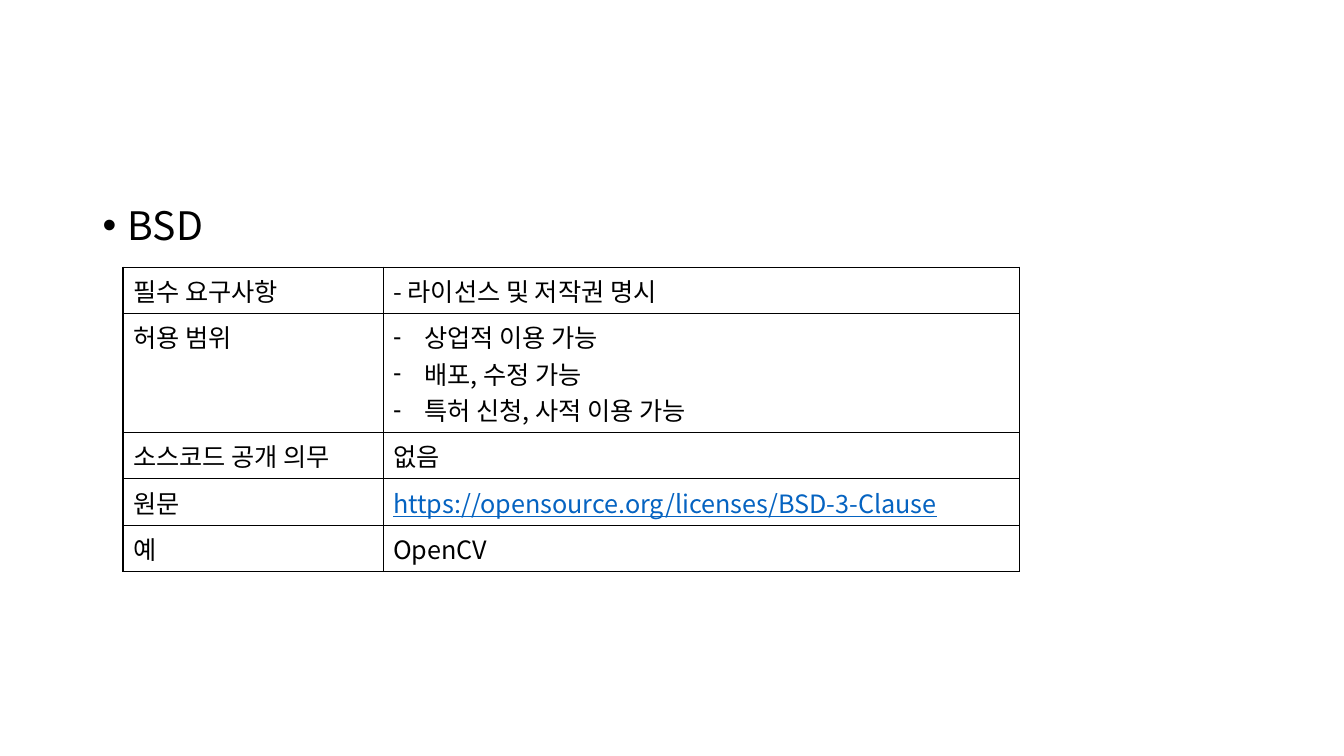
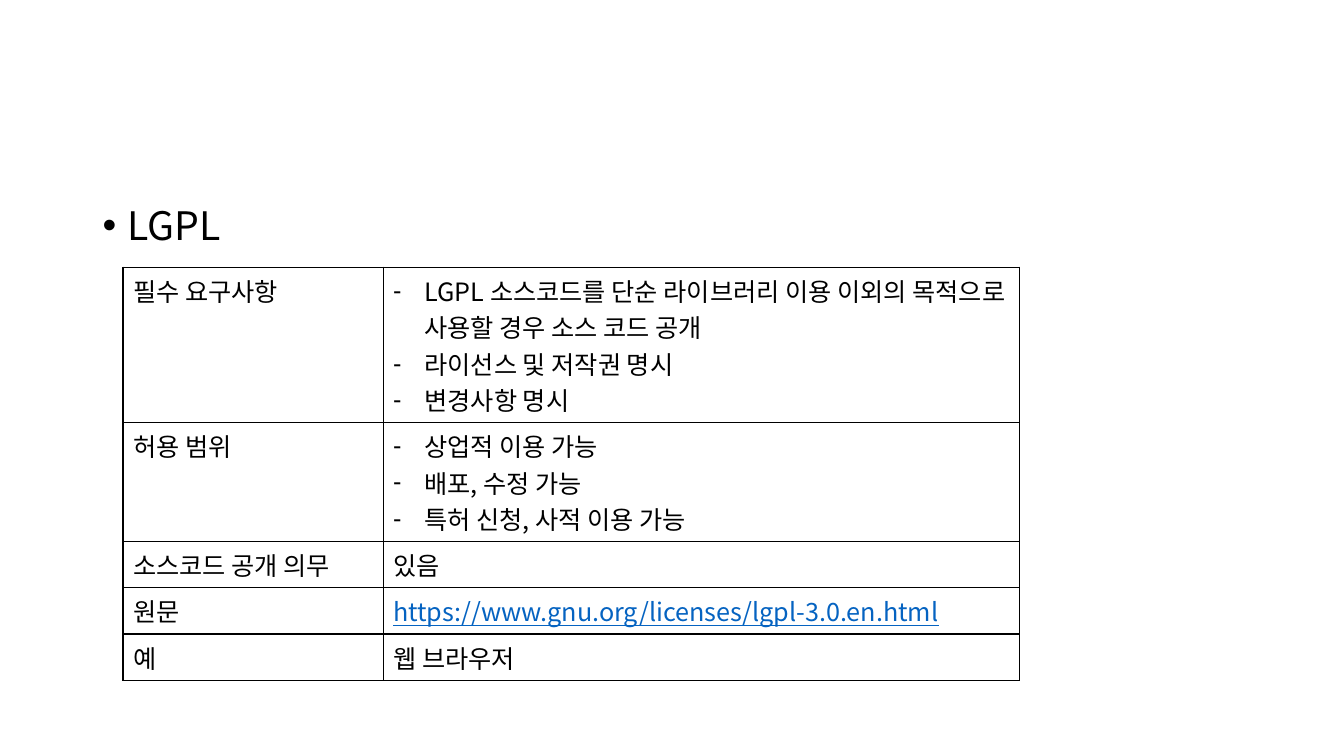
from pptx import Presentation
from pptx.dml.color import RGBColor
from pptx.oxml import parse_xml
from pptx.oxml.ns import nsdecls
from pptx.oxml.xmlchemy import OxmlElement as new_element
from pptx.util import Inches, Pt

BLACK = RGBColor(0x00, 0x00, 0x00)
LINK_BLUE = RGBColor(0x05, 0x63, 0xC1)
FONT = "Noto Sans CJK KR"

HEADING_STYLE = {"size": Pt(28), "color": BLACK}
CELL_STYLE = {"size": Pt(18), "color": BLACK}
LINK_STYLE = {"size": Pt(18), "color": LINK_BLUE, "underline": True}

PERMISSIONS = ["상업적 이용 가능", "배포, 수정 가능", "특허 신청, 사적 이용 가능"]
LABELS = ["필수 요구사항", "허용 범위", "소스코드 공개 의무", "원문", "예"]
LICENSES = [
    {
        "name": "BSD",
        "values": ["- 라이선스 및 저작권 명시", PERMISSIONS, "없음",
                   "https://opensource.org/licenses/BSD-3-Clause", "OpenCV"],
        "lines": [1, 3, 1, 1, 1],
    },
    {
        "name": "LGPL",
        "values": [["LGPL 소스코드를 단순 라이브러리 이용 이외의 목적으로 사용할 경우 소스 코드 공개",
                    "라이선스 및 저작권 명시", "변경사항 명시"],
                   PERMISSIONS, "있음",
                   "https://www.gnu.org/licenses/lgpl-3.0.en.html", "웹 브라우저"],
        "lines": [4, 3, 1, 1, 1],
    },
]

HEADING_BOX = [Inches(value) for value in (0.92, 2, 11.5, 4.76)]
TABLE_LEFT, TABLE_TOP = Inches(1.22), Inches(2.65)
COLUMN_WIDTHS = [Inches(2.58), Inches(6.31)]
LINE_HEIGHT, CELL_PADDING = Inches(0.36), Inches(0.1)


def write_run(paragraph, text, style):
    run = paragraph.add_run()
    run.text = text
    run.font.name = FONT
    for key, value in style.items():
        if key == "color":
            run.font.color.rgb = value
        else:
            setattr(run.font, key, value)
    east_asian = new_element("a:ea")
    east_asian.set("typeface", FONT)
    run.font._element.find("{*}latin").addnext(east_asian)


def set_bullet(paragraph, character, indent):
    properties = paragraph._p.get_or_add_pPr()
    properties.set("marL", str(indent))
    properties.set("indent", str(-indent))
    for tag, key, value in (("a:buFont", "typeface", "Arial"),
                            ("a:buChar", "char", character)):
        element = new_element(tag)
        element.set(key, value)
        properties.append(element)


def set_borders(cell):
    properties = cell._tc.get_or_add_tcPr()
    for side in ("lnL", "lnR", "lnT", "lnB"):
        properties.append(parse_xml(
            f'<a:{side} {nsdecls("a")} w="{Pt(1)}"><a:solidFill>'
            f'<a:srgbClr val="{BLACK}"/></a:solidFill></a:{side}>'))


def fill_cell(cell, content):
    set_borders(cell)
    cell.fill.background()
    bulleted = isinstance(content, list)
    for index, text in enumerate(content if bulleted else [content]):
        frame = cell.text_frame
        paragraph = frame.add_paragraph() if index else frame.paragraphs[0]
        if bulleted:
            set_bullet(paragraph, "-", Inches(0.31))
        write_run(paragraph, text, LINK_STYLE if text.startswith("https") else CELL_STYLE)


def add_heading(slide, text):
    frame = slide.shapes.add_textbox(*HEADING_BOX).text_frame
    frame.word_wrap = True
    paragraph = frame.paragraphs[0]
    paragraph.line_spacing = 0.9
    paragraph.space_before = Pt(10)
    set_bullet(paragraph, "•", Inches(0.25))
    write_run(paragraph, text, HEADING_STYLE)


def add_license_table(slide, values, lines):
    heights = [CELL_PADDING + LINE_HEIGHT * count for count in lines]
    table = slide.shapes.add_table(len(LABELS), len(COLUMN_WIDTHS), TABLE_LEFT, TABLE_TOP,
                                   sum(COLUMN_WIDTHS), sum(heights)).table
    table.first_row = False
    table.horz_banding = False
    for column, width in zip(table.columns, COLUMN_WIDTHS):
        column.width = width
    for row, height, contents in zip(table.rows, heights, zip(LABELS, values)):
        row.height = height
        for cell, content in zip(row.cells, contents):
            fill_cell(cell, content)


presentation = Presentation()
presentation.slide_width = Inches(13.33)
presentation.slide_height = Inches(7.5)
for entry in LICENSES:
    slide = presentation.slides.add_slide(presentation.slide_layouts[6])
    add_heading(slide, entry["name"])
    add_license_table(slide, entry["values"], entry["lines"])
presentation.save("out.pptx")
